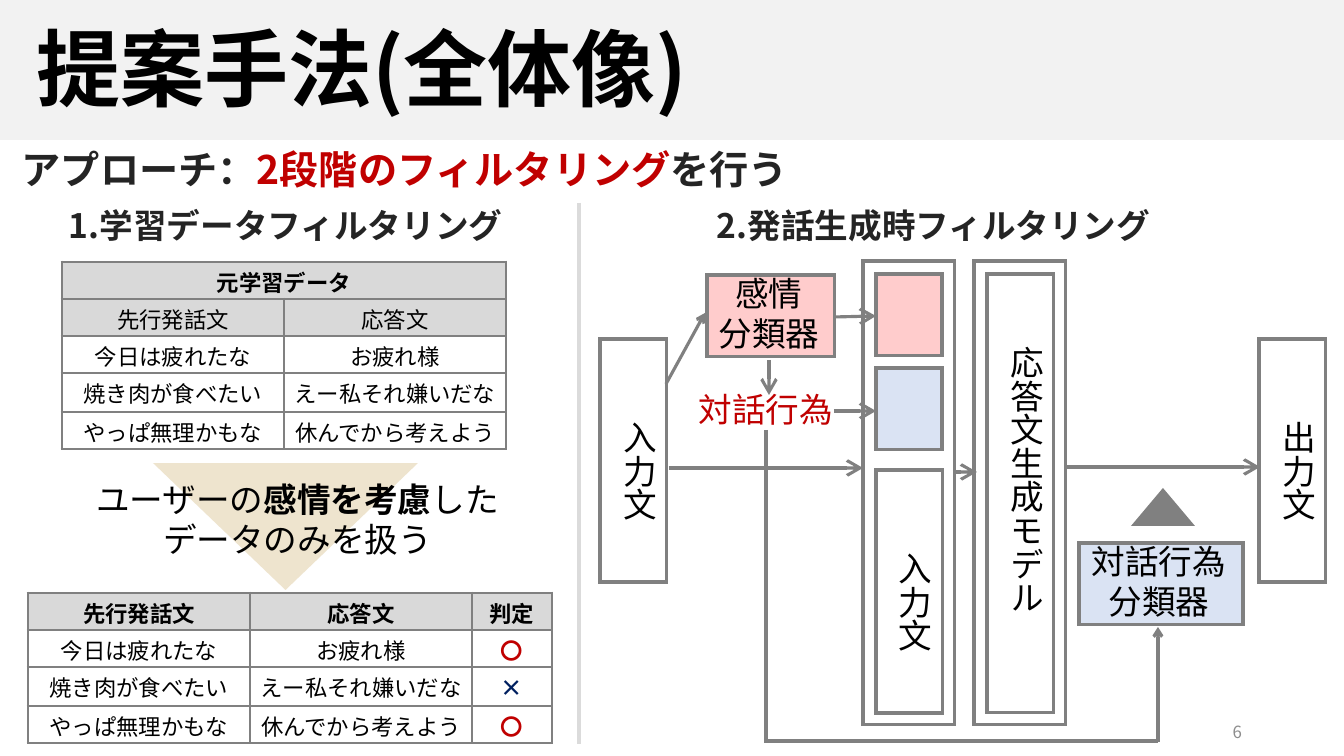
"""Build the slide that outlines the two-stage filtering method."""
import pptx
import pptx.dml.color
import pptx.enum.shapes
import pptx.enum.text
import pptx.oxml
import pptx.oxml.ns
import pptx.util

PX = 914400 / 100.8
FONT = "Noto Sans CJK JP"
COLORS = {
    "band": "F2F2F2", "black": "000000", "dark": "242424", "gray": "808080",
    "divider": "DBDBDB", "header": "D9D9D9", "red": "C00000", "navy": "002060",
    "pink": "FFCCCC", "blue": "DAE3F3", "beige": "EEE4CE", "number": "8C8C8C",
}
RGB = {name: pptx.dml.color.RGBColor.from_string(value) for name, value in COLORS.items()}
NAMESPACE = pptx.oxml.ns.nsdecls("a")
MITER = f'<a:miter {NAMESPACE} lim="800000"/>'
SHAPE = pptx.enum.shapes.MSO_SHAPE
ALIGN = pptx.enum.text.PP_ALIGN
LEFT, CENTER, RIGHT = ALIGN.LEFT, ALIGN.CENTER, ALIGN.RIGHT


def emu(*lengths):
    """Turn pixel lengths into EMU."""
    return [round(length * PX) for length in lengths]


def write(text_frame, text, size, color, bold=False, alignment=LEFT, accent="red"):
    """Write lines of text; parts between bars are bold in the accent colour."""
    text_frame.text = "\n" * text.count("\n")
    for paragraph, line in zip(text_frame.paragraphs, text.split("\n")):
        paragraph.alignment = alignment
        for index, part in enumerate(line.split("|")):
            run = paragraph.add_run()
            run.text = part
            run.font.size = pptx.util.Pt(size)
            run.font.bold = bold or index % 2 == 1
            run.font.color.rgb = RGB[accent if index % 2 else color]
            run.font.name = FONT
            run._r.get_or_add_rPr().append(
                pptx.oxml.parse_xml(f'<a:ea {NAMESPACE} typeface="{FONT}"/>'))


presentation = pptx.Presentation()
presentation.slide_width, presentation.slide_height = emu(1344, 756)
slide = presentation.slides.add_slide(presentation.slide_layouts[5])

title = slide.shapes.title
title.left, title.top, title.width, title.height = emu(26, 11, 790, 112)
title.fill.solid()
title.fill.fore_color.rgb = RGB["band"]
write(title.text_frame, "提案手法(全体像)", 60, "black", True)
title.text_frame.auto_size = pptx.enum.text.MSO_AUTO_SIZE.NONE
title.text_frame.vertical_anchor = pptx.enum.text.MSO_ANCHOR.MIDDLE

shapes = [
    (SHAPE.RECTANGLE, 0, 0, 1344, 140, "band", None),
    (SHAPE.FLOWCHART_EXTRACT, 153, 463, 265, 127, "beige", None),
    (SHAPE.RECTANGLE, 600, 339, 67, 243, None, "gray"),
    (SHAPE.RECTANGLE, 863, 261, 92, 464, None, "gray"),
    (SHAPE.RECTANGLE, 876, 470, 67, 243, None, "gray"),
    (SHAPE.RECTANGLE, 876, 274, 66, 82, "pink", "gray"),
    (SHAPE.RECTANGLE, 876, 368, 66, 82, "blue", "gray"),
    (SHAPE.RECTANGLE, 707, 275, 128, 82, "pink", "gray"),
    (SHAPE.RECTANGLE, 1079, 543, 164, 82, "blue", "gray"),
    (SHAPE.RECTANGLE, 974, 261, 92, 464, None, "gray"),
    (SHAPE.RECTANGLE, 987, 274, 67, 439, None, "gray"),
    (SHAPE.RECTANGLE, 1259, 339, 67, 243, None, "gray"),
    (SHAPE.ISOSCELES_TRIANGLE, 1131, 488, 64, 38, "gray", None),
]
for kind, left, top, width, height, fill, line in shapes:
    shape = slide.shapes.add_shape(kind, *emu(left, top, width, height))
    shape.shadow.inherit = False
    if fill:
        shape.fill.solid()
        shape.fill.fore_color.rgb = RGB[fill]
    else:
        shape.fill.background()
    if line:
        shape.line.color.rgb = RGB[line]
        shape.line.width = pptx.util.Pt(2.25)
        shape.get_or_add_ln().append(pptx.oxml.parse_xml(MITER))
    else:
        shape.line.fill.background()
    if kind == SHAPE.FLOWCHART_EXTRACT:
        shape.rotation = 180
    if fill == "band":
        title.element.addprevious(shape.element)

lines = [
    (579, 203, 579, 744, "divider", None),
    (669, 468, 863, 468, "gray", "lg"),
    (1066, 467, 1260, 467, "gray", "lg"),
    (834, 317, 876, 316, "gray", "lg"),
    (834, 411, 876, 411, "gray", "lg"),
    (769, 360, 769, 395, "gray", "lg"),
    (666, 384, 705, 313, "gray", "med"),
    (953, 472, 977, 472, "gray", "lg"),
    (766, 430, 766, 743, "gray", None),
    (766, 741, 1158, 741, "gray", None),
    (1158, 742, 1158, 627, "gray", "med"),
]
for start_x, start_y, end_x, end_y, color, arrow in lines:
    connector = slide.shapes.add_connector(
        pptx.enum.shapes.MSO_CONNECTOR.STRAIGHT, *emu(start_x, start_y, end_x, end_y))
    connector.line.color.rgb = RGB[color]
    connector.line.width = pptx.util.Pt(2.25)
    connector.get_or_add_ln().append(pptx.oxml.parse_xml(MITER))
    if arrow:
        connector.get_or_add_ln().append(pptx.oxml.parse_xml(
            f'<a:tailEnd {NAMESPACE} type="arrow" w="{arrow}" len="{arrow}"/>'))
    connector.element.spPr.append(pptx.oxml.parse_xml(f"<a:effectLst {NAMESPACE}/>"))

utterances = [
    ["今日は疲れたな", "お疲れ様"],
    ["焼き肉が食べたい", "えー私それ嫌いだな"],
    ["やっぱ無理かもな", "休んでから考えよう"],
]
columns = ["先行発話文", "応答文"]
judged = [row + [mark] for row, mark in zip(utterances, "〇×〇")]
mark_colors = {"〇": "red", "×": "navy"}
tables = [
    (62, 262, [222, 222], [37, 37, 37, 39, 37],
     [["元学習データ", ""], columns] + utterances, 2),
    (28, 593, [222, 222, 80], [37, 37, 39, 37], [columns + ["判定"]] + judged, 1),
]
for left, top, widths, heights, rows, header_rows in tables:
    table = slide.shapes.add_table(
        len(rows), len(widths), *emu(left, top, sum(widths), sum(heights))).table
    table.horz_banding = False
    for column, width in zip(table.columns, emu(*widths)):
        column.width = width
    for row, height in zip(table.rows, emu(*heights)):
        row.height = height
    for row_index, texts in enumerate(rows):
        for column_index, text in enumerate(texts):
            cell = table.cell(row_index, column_index)
            cell.margin_left, cell.margin_right, cell.margin_top, cell.margin_bottom = emu(
                4, 4, 4, 0)
            bold = row_index == 0 or text in mark_colors
            write(cell.text_frame, text, 16, mark_colors.get(text, "black"), bold, CENTER)
            properties = cell._tc.get_or_add_tcPr()
            for side in ("lnL", "lnR", "lnT", "lnB"):
                properties.append(pptx.oxml.parse_xml(
                    f'<a:{side} {NAMESPACE} w="28575"><a:solidFill>'
                    f'<a:srgbClr val="{COLORS["gray"]}"/></a:solidFill></a:{side}>'))
            if row_index < header_rows:
                cell.fill.solid()
                cell.fill.fore_color.rgb = RGB["header"]
            else:
                cell.fill.background()
    if header_rows == 2:
        table.cell(0, 0).merge(table.cell(0, 1))

labels = [
    (12, 140, 976, 57, "アプローチ：|2段階のフィルタリング|を行う", 28, "dark", True, LEFT),
    (59, 200, 578, 50, "1.学習データフィルタリング", 24, "dark", True, LEFT),
    (707, 200, 578, 50, "2.発話生成時フィルタリング", 24, "dark", True, LEFT),
    (66, 474, 463, 92, "ユーザーの|感情を考慮|した\nデータのみを扱う", 24, "black", False, CENTER),
    (705, 268, 128, 92, "感情\n分類器", 24, "black", False, CENTER),
    (1077, 536, 164, 92, "対話行為\n分類器", 24, "black", False, CENTER),
    (687, 384, 158, 50, "対話行為", 24, "red", False, CENTER),
    (950, 712, 302, 40, "6", 12, "number", False, RIGHT),
]
for left, top, width, height, text, size, color, bold, alignment in labels:
    text_frame = slide.shapes.add_textbox(*emu(left, top, width, height)).text_frame
    text_frame.word_wrap = True
    accent = "red" if color == "dark" else "black"
    write(text_frame, text, size, color, bold, alignment, accent)
    if color == "number":
        text_frame.vertical_anchor = pptx.enum.text.MSO_ANCHOR.MIDDLE

vertical_labels = [
    (603, 411, 170, "入力文"),
    (878, 542, 170, "入力文"),
    (990, 336, 377, "応答文生成モデル"),
    (1262, 411, 170, "出力文"),
]
for left, top, height, text in vertical_labels:
    text_frame = slide.shapes.add_textbox(*emu(left, top, 61, height)).text_frame
    text_frame.word_wrap = True
    text_frame._txBody.bodyPr.set("vert", "eaVert")
    write(text_frame, text, 24, "black")

presentation.save("out.pptx")
